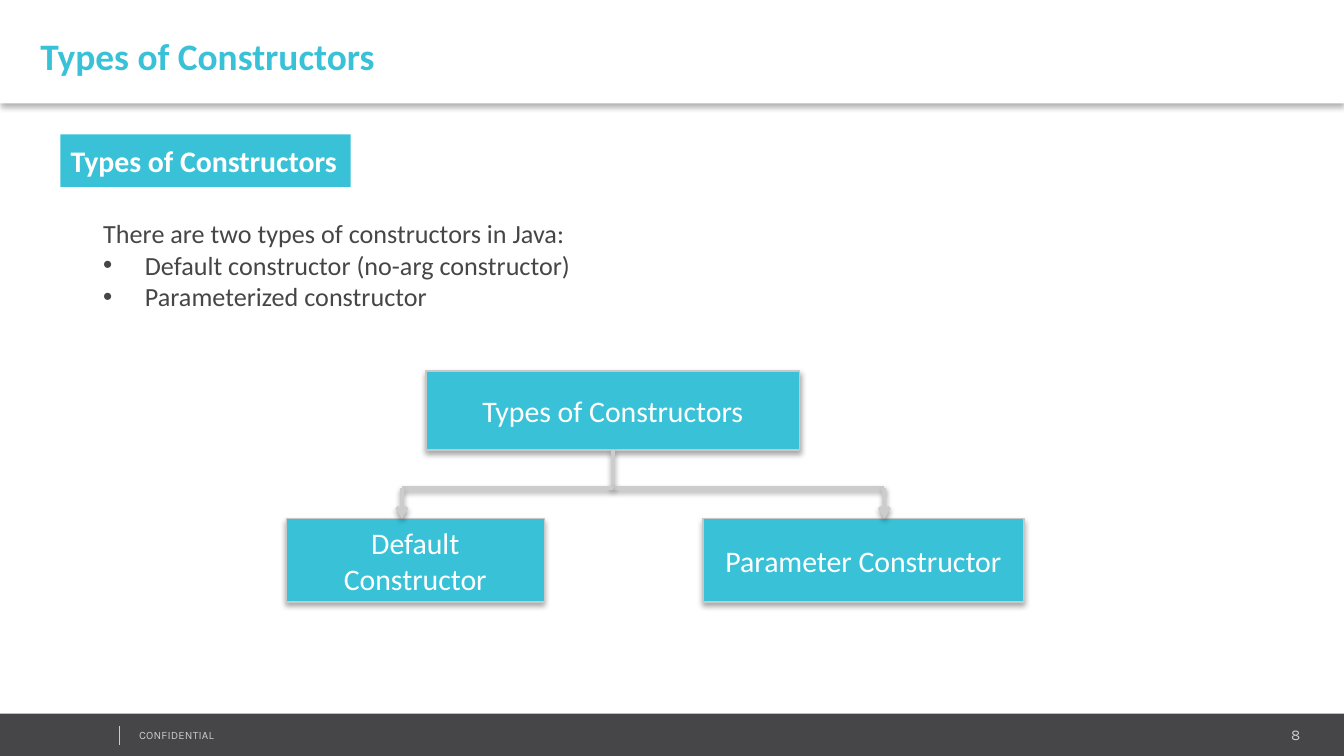
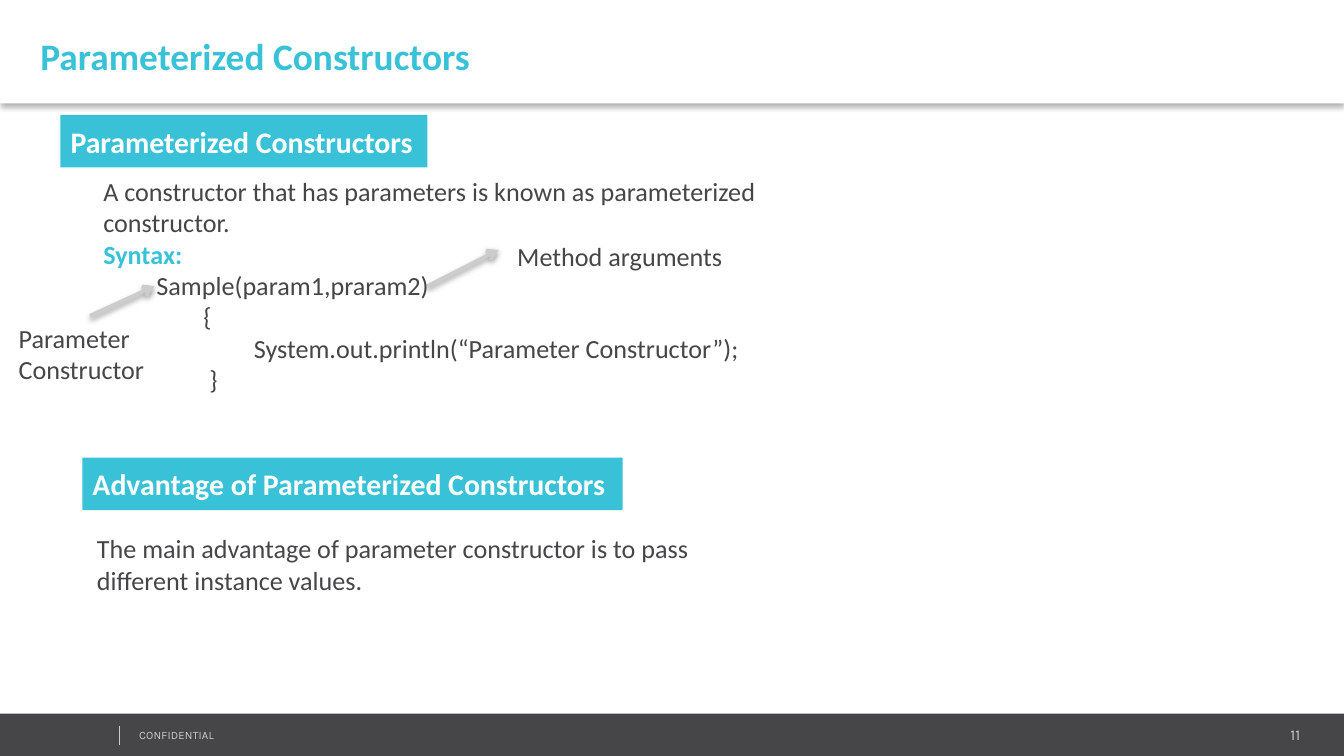
import lxml.etree
import pptx
import pptx.dml.color
import pptx.enum.shapes
import pptx.enum.text
import pptx.oxml.ns
import pptx.util

TEAL = pptx.dml.color.RGBColor(0x39, 0xC2, 0xD7)
CHARCOAL = pptx.dml.color.RGBColor(0x46, 0x45, 0x47)
SILVER = pptx.dml.color.RGBColor(0xCC, 0xCC, 0xCC)
BORDER = pptx.dml.color.RGBColor(0xC8, 0xC8, 0xC8)
WHITE = pptx.dml.color.RGBColor(0xFF, 0xFF, 0xFF)

COLUMNS, ROWS = 100, 56.25
MIDDLE = pptx.enum.text.MSO_ANCHOR.MIDDLE
CENTER = pptx.enum.text.PP_ALIGN.CENTER
RIGHT = pptx.enum.text.PP_ALIGN.RIGHT
PLAIN_INSETS = (1, 0.5, 1, 0.5)
FOOTER_INSETS = (0.75, 0.4, 0.75, 0.4)
TAG_INSETS = (0.75, 0.6, 0.75, 0.6)
TITLE_INSETS = (3, 1, 0.75, 0.4)


def cells(count):
    return pptx.util.Inches(count / 10)


def add_element(parent, tag, **attributes):
    element = lxml.etree.SubElement(parent, pptx.oxml.ns.qn(tag))
    for name, value in attributes.items():
        element.set(name, str(value))
    return element


def add_shadow(effects, opacity, distance):
    shadow = add_element(effects, "a:outerShdw", blurRad=pptx.util.Pt(3.1),
                         dist=pptx.util.Pt(distance), dir=90 * 60000, rotWithShape=0)
    color = add_element(shadow, "a:srgbClr", val="000000")
    add_element(color, "a:alpha", val=opacity * 1000)


def write(shape, text, size=14, color=CHARCOAL, bold=False, font="Calibri",
          align=None, indent=0, bullet=False, spacing=0):
    frame = shape.text_frame
    paragraph = frame.add_paragraph() if frame.text else frame.paragraphs[0]
    paragraph.alignment = align or pptx.enum.text.PP_ALIGN.LEFT
    properties = paragraph._p.get_or_add_pPr()
    properties.set("marL", str(cells(indent)))
    if bullet:
        properties.set("indent", str(-cells(indent)))
        add_element(properties, "a:buFont", typeface="Arial")
        add_element(properties, "a:buChar", char="•")
    run = paragraph.add_run()
    run.text = text
    run.font.size = pptx.util.Pt(size)
    run.font.name = font
    run.font.bold = bold
    run.font.color.rgb = color
    if spacing:
        run._r.get_or_add_rPr().set("spc", str(round(spacing * 100)))


def set_frame(shape, insets=PLAIN_INSETS, wrap=True, grow=False, anchor=None):
    frame = shape.text_frame
    frame.margin_left, frame.margin_top, frame.margin_right, frame.margin_bottom = map(cells, insets)
    frame.word_wrap = wrap
    if grow:
        frame.auto_size = pptx.enum.text.MSO_AUTO_SIZE.SHAPE_TO_FIT_TEXT
    if anchor is not None:
        frame.vertical_anchor = anchor


def add_text(slide, place, insets=PLAIN_INSETS):
    shape = slide.shapes.add_textbox(*map(cells, place))
    set_frame(shape, insets, grow=True)
    return shape


def add_rectangle(slide, place, fill, border=None):
    shape = slide.shapes.add_shape(pptx.enum.shapes.MSO_SHAPE.RECTANGLE, *map(cells, place))
    shape.shadow.inherit = False
    shape.fill.solid()
    shape.fill.fore_color.rgb = fill
    if border is None:
        shape.line.fill.background()
    else:
        shape.line.color.rgb = border
        shape.line.width = pptx.util.Pt(0.75)
    return shape


def add_raised_rectangle(slide, place, fill, opacity, distance, border=None):
    shape = add_rectangle(slide, place, fill, border)
    effects = shape._element.spPr.find(pptx.oxml.ns.qn("a:effectLst"))
    add_shadow(effects, opacity, distance)
    return shape


def add_line(slide, start, end, width=2, arrow=False, raised=True):
    line = slide.shapes.add_connector(pptx.enum.shapes.MSO_CONNECTOR.STRAIGHT,
                                      *map(cells, start + end))
    line.line.color.rgb = SILVER
    line.line.width = pptx.util.Pt(width)
    if arrow:
        add_element(line.line._get_or_add_ln(), "a:tailEnd", type="arrow")
    effects = add_element(line._element.spPr, "a:effectLst")
    if raised:
        add_shadow(effects, 38, 1.6)
    return line


def add_tag(slide, left, top, width, text):
    tag = add_rectangle(slide, (left, top, width, 3.9), TEAL)
    set_frame(tag, TAG_INSETS, wrap=False, grow=True, anchor=MIDDLE)
    write(tag, text, size=16, color=WHITE, bold=True)


def add_node(slide, place, text):
    node = add_raised_rectangle(slide, place, TEAL, 35, 1.8, BORDER)
    set_frame(node, anchor=MIDDLE)
    write(node, text, size=16, color=WHITE, align=CENTER)
    return node


def add_page(presentation, title, number):
    slide = presentation.slides.add_slide(presentation.slide_layouts[6])
    add_rectangle(slide, (0, 53.1, 100.1, 3.3), CHARCOAL)
    page_number = add_text(slide, (81.2, 53.6, 16.3, 2.1), FOOTER_INSETS)
    write(page_number, str(number), size=8, color=SILVER, font="Karla", align=RIGHT)
    notice = add_text(slide, (9.6, 53.8, 25.3, 1.8), FOOTER_INSETS)
    write(notice, "CONFIDENTIAL", size=6, color=SILVER, font="Karla", spacing=0.1)
    add_line(slide, (8.9, 54), (8.9, 55.4), width=0.25, raised=False)
    header = add_raised_rectangle(slide, (0, 0, COLUMNS, 7.7), WHITE, 30, 2)
    set_frame(header, TITLE_INSETS, anchor=MIDDLE)
    write(header, title, size=20, color=TEAL, bold=True)
    return slide


def add_constructor_tree(slide):
    trunk, branch_row, node_row = 45.6, 36.3, 38.6
    root = add_node(slide, (31.7, 27.6, 27.8, 5.9), "Types of Constructors")
    add_node(slide, (21.3, node_row, 19.2, 6.2), "Default Constructor")
    add_node(slide, (52.3, node_row, 23.9, 6.2), "Parameter Constructor")
    stem = add_line(slide, (trunk, 33.5), (trunk, branch_row))
    stem.begin_connect(root, 2)
    for column in (65.8, 29.9):
        add_line(slide, (trunk, branch_row), (column, branch_row))
        add_line(slide, (column, branch_row), (column, node_row), arrow=True)


def add_types_slide(presentation):
    slide = add_page(presentation, "Types of Constructors", 8)
    add_tag(slide, 4.5, 10, 21.6, "Types of Constructors")
    summary = add_text(slide, (6.7, 15.7, 50, 8.1))
    write(summary, "There are two types of constructors in Java:")
    for kind in ("Default constructor (no-arg constructor)", "Parameterized constructor"):
        write(summary, kind, indent=3.1, bullet=True)
    add_constructor_tree(slide)


def add_parameterized_slide(presentation):
    slide = add_page(presentation, "Parameterized Constructors", 11)
    add_tag(slide, 4.5, 8.55, 27.3, "Parameterized Constructors")
    syntax = add_text(slide, (6.7, 12.55, 57.5, 17.5))
    write(syntax, "A constructor that has parameters is known as parameterized constructor.")
    write(syntax, "Syntax:", color=TEAL, bold=True)
    for indent, code in (
        (3.95, "Sample(param1,praram2)"),
        (7.45, "{"),
        (11.2, "System.out.println(“Parameter Constructor”);"),
        (7.9, "}"),
    ):
        write(syntax, code, indent=indent)
    add_tag(slide, 6.13, 34.05, 40.2, "Advantage of Parameterized Constructors")
    for place, text in (
        ((6.23, 39.15, 51.9, 5.7),
         "The main advantage of parameter constructor is to pass different instance values."),
        ((0.4, 23.5, 15.7, 5.7), "Parameter Constructor"),
        ((37.5, 17.4, 22.8, 3.4), "Method arguments"),
    ):
        write(add_text(slide, place), text)
    add_line(slide, (31.8, 21.3), (37.1, 18.6), arrow=True)
    add_line(slide, (6.7, 23.5), (11.5, 21.3), arrow=True)


def main():
    presentation = pptx.Presentation()
    presentation.slide_width = cells(COLUMNS)
    presentation.slide_height = cells(ROWS)
    add_types_slide(presentation)
    add_parameterized_slide(presentation)
    presentation.save("out.pptx")


if __name__ == "__main__":
    main()
